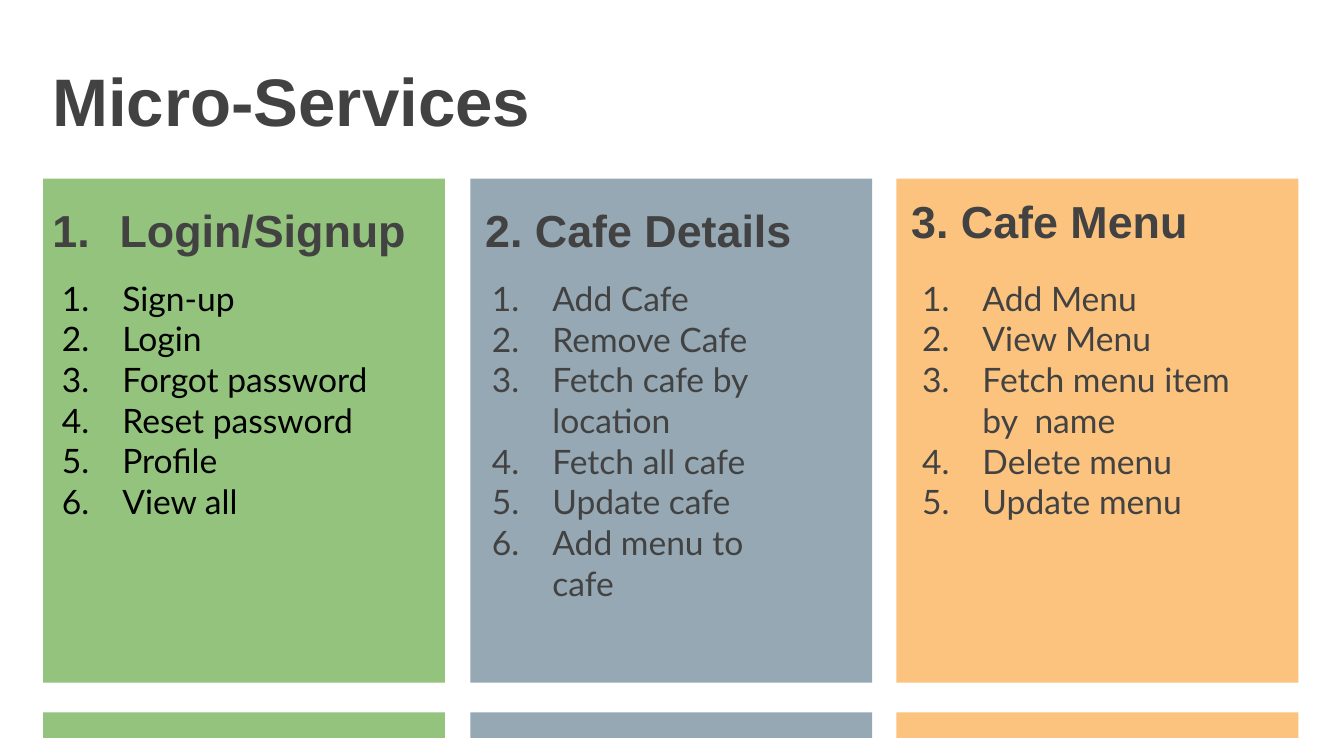
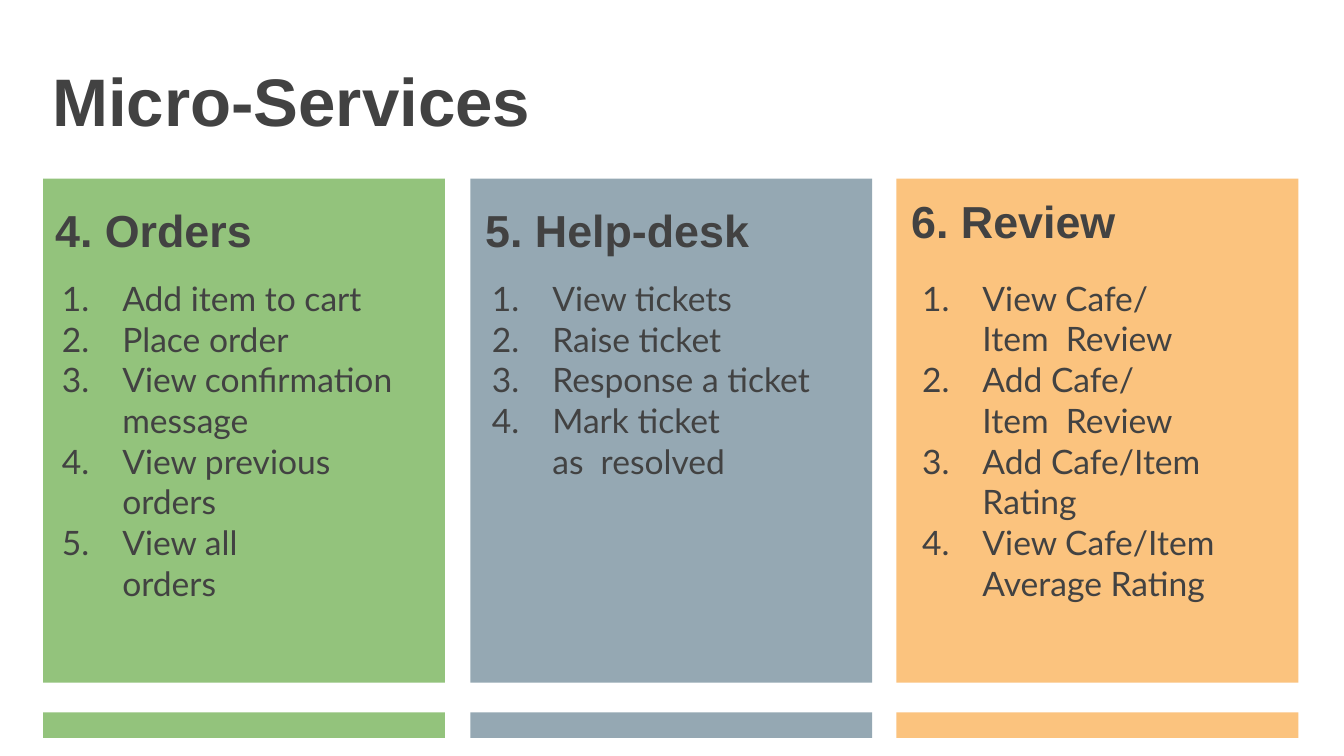
from dataclasses import dataclass

from lxml import etree
from pptx import Presentation
from pptx.dml.color import RGBColor
from pptx.enum.shapes import MSO_SHAPE
from pptx.enum.text import MSO_ANCHOR, PP_ALIGN
from pptx.oxml.ns import qn
from pptx.util import Inches, Pt

RECTANGLE = MSO_SHAPE.RECTANGLE
TOP = MSO_ANCHOR.TOP
LEFT = PP_ALIGN.LEFT
TITLE_ONLY = 5
PAGE_WIDTH = 10
PAGE_HEIGHT = PAGE_WIDTH * 9 / 16

HEADING_FONT, BODY_FONT = "Arial", "Lato"
DARK, BLACK = "424242", "000000"

# Three equal columns, each a card above a thin band
COLUMN_WIDTH = 2.99
CARD_TOP, CARD_HEIGHT = 1.33, 3.75
BAND_TOP, BAND_HEIGHT = 5.3, 0.19
NUMBER_HANG = 0.45
HEADING_TAB = 0.68
FIXED_SPACE = " "  # no-break space, keeps the words beside it together


@dataclass
class Column:
    left: float
    fill: str
    top_inset: float
    item_indent: float


@dataclass
class Service:
    heading: str
    items: list  # (text, right margin); a margin makes the item wrap
    heading_indent: float = 0.11
    start: int = 0  # automatic heading number, 0 for a typed one
    item_color: str = DARK


COLUMNS = [
    Column(0.32, "93C37C", 0.18, 0.59),
    Column(3.5, "95A8B3", 0.18, 0.61),
    Column(6.67, "FBC37E", 0.11, 0.64),
]

PAGES = [
    [
        Service("1.\tLogin/Signup",
                [("Sign-up", 0), ("Login", 0), ("Forgot password", 0),
                 ("Reset password", 0), ("Proﬁle", 0), ("View all", 0)],
                heading_indent=0.07, item_color=BLACK),
        Service("2. Cafe Details",
                [("Add Cafe", 0), ("Remove Cafe", 0),
                 ("Fetch cafe by  location", 0.7), ("Fetch all cafe", 0),
                 ("Update cafe", 0), ("Add menu to cafe", 0.7)]),
        Service("Cafe Menu",
                [("Add Menu", 0), ("View Menu", 0),
                 ("Fetch menu item by  name", 0.4), ("Delete menu", 0),
                 ("Update menu", 0)], start=3),
    ],
    [
        Service("4. Orders",
                [("Add item to cart", 0), ("Place order", 0),
                 ("View conﬁrmation  message", 0.3),
                 ("View previous  orders", 0.3), ("View all orders", 1.1)],
                heading_indent=0.09),
        Service("5. Help-desk",
                [("View tickets", 0), ("Raise ticket", 0),
                 ("Response a ticket", 0), ("Mark ticket as  resolved", 0.97)]),
        Service("Review",
                [("View Cafe/ Item  Review", 0.8),
                 ("Add Cafe/ Item  Review", 0.8),
                 ("Add Cafe/Item  Rating", 0.44),
                 ("View Cafe/Item  Average Rating", 0.44)], start=6),
    ],
]


def rgb(value):
    return RGBColor.from_string(value)


def add_span(para, text, font, size, color, bold=False):
    span = para.add_run()
    span.text = text
    span.font.name = font
    span.font.size = Pt(size)
    span.font.bold = bold
    span.font.color.rgb = rgb(color)


def set_frame(frame, top_inset):
    frame.word_wrap = True
    frame.vertical_anchor = TOP
    frame.margin_left = frame.margin_right = frame.margin_bottom = 0
    frame.margin_top = Inches(top_inset)


def set_para(para, before, indent, hang=0, right=0, start=0, tab=0):
    """Set spacing in points; indents and a tab stop in inches; numbering."""
    para.alignment = LEFT
    para.space_before = Pt(before)
    props = para._p.get_or_add_pPr()
    props.set("marL", str(Inches(indent)))
    props.set("indent", str(-Inches(hang)))
    props.set("marR", str(Inches(right)))
    if start:
        etree.SubElement(props, qn("a:buFont"), typeface="+mj-lt")
        number = etree.SubElement(props, qn("a:buAutoNum"), type="arabicPeriod")
        if start > 1:
            number.set("startAt", str(start))
    else:
        etree.SubElement(props, qn("a:buNone"))
    if tab:
        stops = etree.SubElement(props, qn("a:tabLst"))
        etree.SubElement(stops, qn("a:tab"), pos=str(Inches(tab)), algn="l")


def add_block(page, left, top, height, fill):
    box = page.shapes.add_shape(RECTANGLE, Inches(left), Inches(top),
                                Inches(COLUMN_WIDTH), Inches(height))
    box.shadow.inherit = False
    box.fill.solid()
    box.fill.fore_color.rgb = rgb(fill)
    box.line.fill.background()
    return box


def add_title(page, text):
    title = page.shapes.title
    title.left, title.top = Inches(0.38), Inches(0.43)
    title.width, title.height = Inches(3.59), Inches(0.63)
    frame = title.text_frame
    set_frame(frame, 0.01)
    set_para(frame.paragraphs[0], 1, 0.01)
    add_span(frame.paragraphs[0], text, HEADING_FONT, 36, DARK, True)


def fill_card(box, service, column):
    frame = box.text_frame
    set_frame(frame, column.top_inset)

    # Heading, with its number typed or automatic
    heading = frame.paragraphs[0]
    if service.start:
        set_para(heading, 8.2, 0.48, 0.37, start=service.start, tab=0.48)
    else:
        set_para(heading, 13, service.heading_indent, tab=HEADING_TAB)
    add_span(heading, service.heading, HEADING_FONT, 24, DARK, True)

    # Numbered items
    first_gap = 16.1 if service.start else 11.2
    for index, (text, right) in enumerate(service.items):
        para = frame.add_paragraph()
        para.level = 1 if service.start else 0
        gap = 0.1
        if FIXED_SPACE in text:
            para.line_spacing = 1.01
            gap = 0
        set_para(para, gap if index else first_gap, column.item_indent,
                 NUMBER_HANG, right, start=1, tab=column.item_indent)
        add_span(para, text, BODY_FONT, 18, service.item_color)


def add_services_page(deck, services):
    page = deck.slides.add_slide(deck.slide_layouts[TITLE_ONLY])
    add_title(page, "Micro-Services")
    for column in COLUMNS:
        add_block(page, column.left, BAND_TOP, BAND_HEIGHT, column.fill)
    for column, service in zip(COLUMNS, services):
        card = add_block(page, column.left, CARD_TOP, CARD_HEIGHT, column.fill)
        fill_card(card, service, column)


def main():
    deck = Presentation()
    deck.slide_width = Inches(PAGE_WIDTH)
    deck.slide_height = Inches(PAGE_HEIGHT)
    for services in PAGES:
        add_services_page(deck, services)
    deck.save("out.pptx")


if __name__ == "__main__":
    main()
